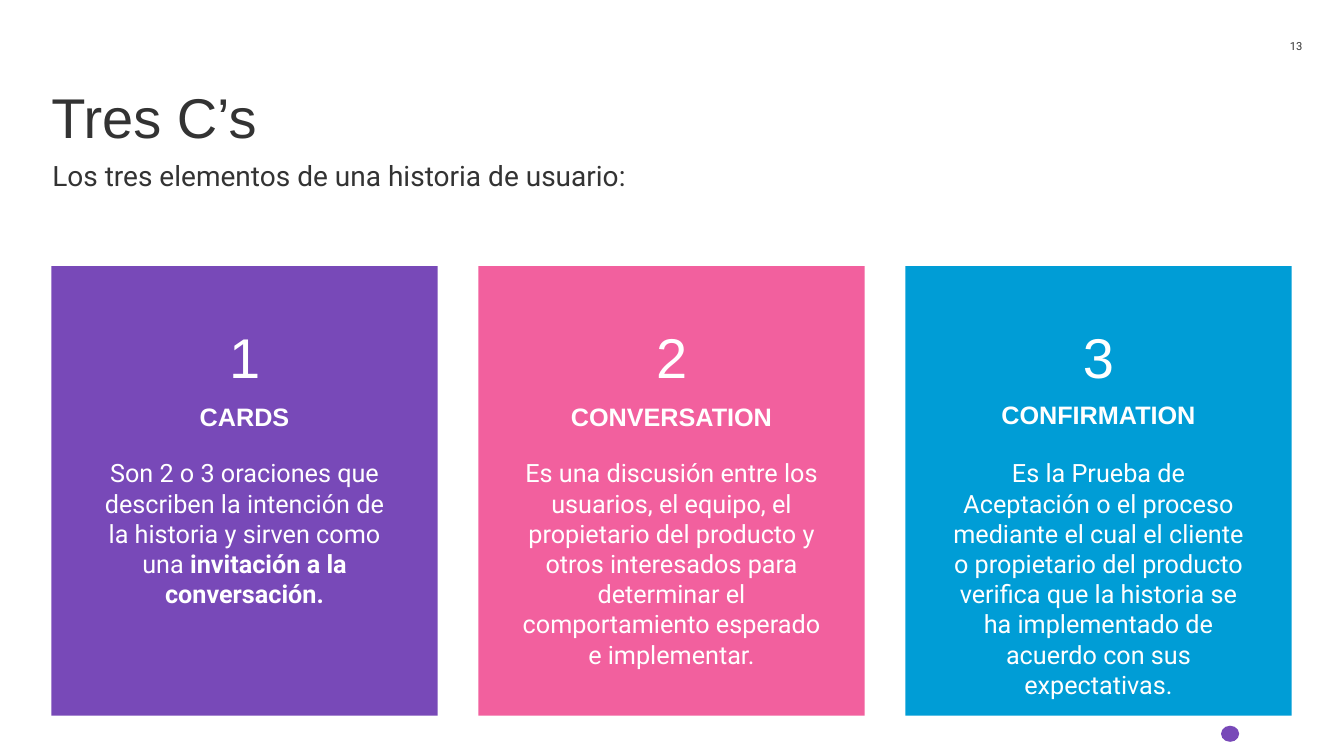
import pptx
import pptx.dml.color
import pptx.enum.shapes
import pptx.enum.text
import pptx.util

ALIGN = pptx.enum.text.PP_ALIGN
ANCHOR = pptx.enum.text.MSO_ANCHOR
SHAPE = pptx.enum.shapes.MSO_SHAPE

HEADING_FONT, BODY_FONT = "Arial", "Roboto"
DARK, WHITE, PURPLE, PINK, BLUE = "333333", "FFFFFF", "7849B8", "F2609E", "009DD6"

# Horizontal values are percent of slide width, vertical ones of slide height.
MARGIN, CARD_WIDTH, CARD_PITCH = 3.83, 28.73, 31.77
CARD_TOP, CARD_HEIGHT, NUMBER_INSET = 35.2, 59.47, 8.4
TEXT_WIDTH = 22.58
TEXT_INDENT = (CARD_WIDTH - TEXT_WIDTH) / 2
HEADING_HEIGHT, BODY_TOP = 5.33, 60.53

# Colour, heading, heading top, body height, body text, bold ending
CARDS = [
    (PURPLE, "CARDS", 53.47, 22.13,
     "Son 2 o 3 oraciones que describen la intención de la historia y sirven como una",
     " invitación a la conversación."),
    (PINK, "CONVERSATION", 53.47, 22.13,
     "Es una discusión entre los usuarios, el equipo, el propietario del producto y otros "
     "interesados para determinar el comportamiento esperado e implementar.", ""),
    (BLUE, "CONFIRMATION", 53.33, 29.87,
     "Es la Prueba de Aceptación o el proceso mediante el cual el cliente o propietario del "
     "producto verifica que la historia se ha implementado de acuerdo con sus expectativas.", ""),
]


def color(hex_code):
    return pptx.dml.color.RGBColor.from_string(hex_code)


class SlideBuilder:
    def __init__(self, presentation):
        self.presentation = presentation
        self.slide = presentation.slides.add_slide(presentation.slide_layouts[6])

    def across(self, percent):
        return round(self.presentation.slide_width * percent / 100)

    def down(self, percent):
        return round(self.presentation.slide_height * percent / 100)

    def frame(self, left, top, width, height):
        return self.across(left), self.down(top), self.across(width), self.down(height)

    def fill_text(self, shape, text, size, font, fill, align=ALIGN.LEFT, anchor=ANCHOR.TOP,
                  spacing=1.0, inset=0, bold=False, bold_ending=""):
        """Fill a shape with one paragraph, optionally ending in bold."""
        text_frame = shape.text_frame
        text_frame.word_wrap = True
        text_frame.vertical_anchor = anchor
        text_frame.margin_left = text_frame.margin_right = text_frame.margin_bottom = 0
        text_frame.margin_top = self.down(inset)
        text_frame.text = text
        paragraph = text_frame.paragraphs[0]
        paragraph.alignment = align
        paragraph.line_spacing = spacing
        paragraph.runs[0].font.bold = bold
        if bold_ending:
            ending = paragraph.add_run()
            ending.text = bold_ending
            ending.font.bold = True
        for run in paragraph.runs:
            run.font.name = font
            run.font.size = pptx.util.Pt(size)
            run.font.color.rgb = color(fill)

    def text(self, box, text, size, font, fill, **style):
        shape = self.slide.shapes.add_textbox(*self.frame(*box))
        self.fill_text(shape, text, size, font, fill, **style)

    def block(self, kind, box, fill):
        shape = self.slide.shapes.add_shape(kind, *self.frame(*box))
        shape.shadow.inherit = False
        shape.fill.solid()
        shape.fill.fore_color.rgb = color(fill)
        shape.line.fill.background()
        return shape

    def card(self, index, fill, heading, heading_top, body_height, body, bold_ending):
        left = MARGIN + index * CARD_PITCH
        text_left = left + TEXT_INDENT
        panel = self.block(SHAPE.RECTANGLE, (left, CARD_TOP, CARD_WIDTH, CARD_HEIGHT), fill)
        self.fill_text(panel, str(index + 1), 40, HEADING_FONT, WHITE, align=ALIGN.CENTER,
                       spacing=0.9, inset=NUMBER_INSET)
        self.text((text_left, heading_top, TEXT_WIDTH, HEADING_HEIGHT), heading, 18,
                  HEADING_FONT, WHITE, align=ALIGN.CENTER, spacing=0.9, bold=True)
        self.text((text_left, BODY_TOP, TEXT_WIDTH, body_height), body, 18,
                  BODY_FONT, WHITE, align=ALIGN.CENTER, bold_ending=bold_ending)


def main():
    presentation = pptx.Presentation()
    presentation.slide_width = pptx.util.Inches(13.33)
    presentation.slide_height = pptx.util.Inches(7.5)
    builder = SlideBuilder(presentation)
    builder.text((94.97, 4.8, 1.95, 2.53), "13", 8, BODY_FONT, DARK,
                 align=ALIGN.RIGHT, anchor=ANCHOR.MIDDLE)
    builder.text((MARGIN, 11.87, 92.05, 7.73), "Tres C’s", 40, HEADING_FONT, DARK, spacing=0.9)
    builder.text((3.9, 20.53, 92.05, 5.6), "Los tres elementos de una historia de usuario:",
                 20, BODY_FONT, DARK, spacing=1.1)
    for index, card in enumerate(CARDS):
        builder.card(index, *card)
    builder.block(SHAPE.OVAL, (90.85, 96, 1.35, 2.13), PURPLE)
    presentation.save("out.pptx")


if __name__ == "__main__":
    main()
